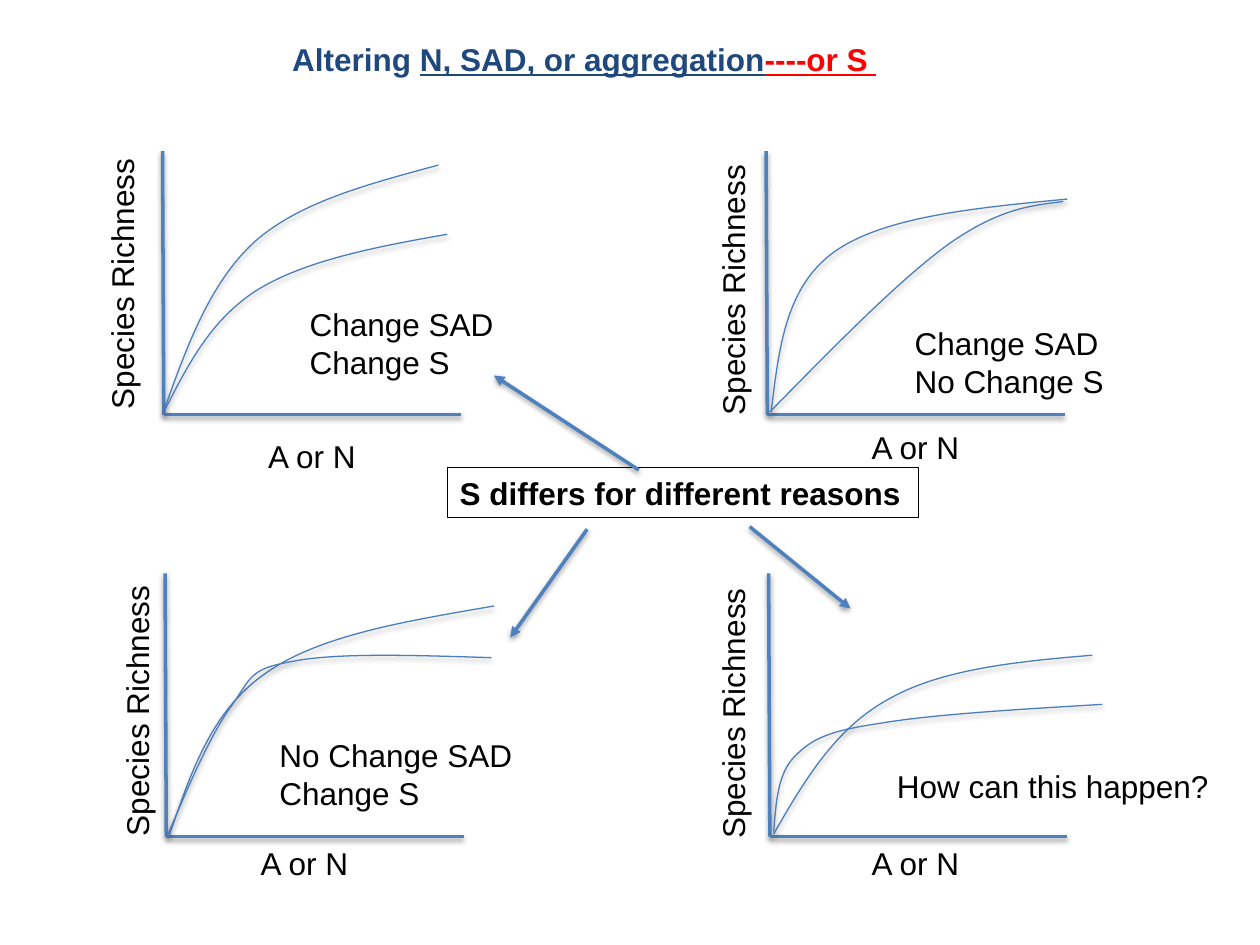
from dataclasses import dataclass

from lxml.etree import SubElement
from pptx import Presentation
from pptx.dml.color import RGBColor
from pptx.enum.shapes import MSO_CONNECTOR
from pptx.enum.text import MSO_AUTO_SIZE
from pptx.oxml.ns import qn
from pptx.util import Inches, Pt

Point = tuple[float, float]


@dataclass(frozen=True)
class Theme:
    font: str = "Arial"
    size: float = 18
    text: str = "000000"
    title: str = "1F497D"
    accent: str = "FF0000"
    axis: str = "4F81BD"
    curve: str = "4B7EBC"
    axis_width: float = 2
    thin_width: float = 0.75


@dataclass(frozen=True)
class Run:
    text: str
    color: str = "000000"
    bold: bool = False
    underline: bool = False


@dataclass(frozen=True)
class Panel:
    """One richness plot; each curve is a start point and Bézier triples."""
    origin: Point
    x_label: Point
    y_label: Point
    note_at: Point
    note_width: float
    note: tuple[str, ...]
    curves: tuple[tuple[Point, ...], ...]


THEME = Theme()
AXIS_LENGTH, AXIS_HEIGHT, AXIS_LEAN = 2.36, 2.09, 0.01
LINE_HEIGHT, LINE_STEP = 0.4, 0.31

PANELS = (
    Panel((1.3, 3.29), (2.03, 3.42), (-0.14, 2.04), (2.36, 2.37), 1.67,
          ("Change SAD", "Change S"), (
        ((1.3, 3.26), (1.48, 2.76), (1.66, 2.25), (2.02, 1.92),
         (2.38, 1.6), (2.93, 1.46), (3.48, 1.31)),
        ((1.29, 3.29), (1.48, 2.92), (1.66, 2.55), (2.03, 2.31),
         (2.41, 2.07), (2.98, 1.96), (3.55, 1.86)))),
    Panel((6.09, 3.29), (6.82, 3.35), (4.71, 2.09), (7.16, 2.52), 1.72,
          ("Change SAD", "No Change S"), (
        ((6.12, 3.27), (6.18, 2.78), (6.23, 2.28), (6.62, 2),
         (7.01, 1.72), (7.74, 1.65), (8.47, 1.58)),
        ((6.11, 3.27), (6.63, 2.74), (7.15, 2.21), (7.54, 1.93),
         (7.93, 1.66), (8.18, 1.63), (8.44, 1.6)))),
    Panel((1.32, 6.64), (1.97, 6.65), (-0.02, 5.43), (2.12, 5.79), 2.07,
          ("No Change SAD", "Change S"), (
        ((1.34, 6.64), (1.51, 6.15), (1.67, 5.65), (2.1, 5.35),
         (2.53, 5.04), (3.23, 4.93), (3.92, 4.81)),
        ((1.33, 6.63), (1.5, 6.23), (1.67, 5.83), (1.84, 5.6),
         (2, 5.37), (1.98, 5.31), (2.32, 5.25),
         (2.66, 5.18), (3.28, 5.2), (3.9, 5.22)))),
    Panel((6.11, 6.64), (6.82, 6.65), (4.71, 5.45), (7.02, 6.04), 2.7,
          ("How can this happen?",), (
        ((6.14, 6.62), (6.38, 6.2), (6.63, 5.78), (7.05, 5.55),
         (7.47, 5.31), (8.07, 5.25), (8.67, 5.2)),
        ((6.14, 6.6), (6.16, 6.37), (6.17, 6.14), (6.31, 6),
         (6.45, 5.86), (6.58, 5.8), (6.99, 5.74),
         (7.4, 5.67), (8.08, 5.63), (8.75, 5.59)))),
)

ARROWS = (
    ((5.07, 3.73), (3.92, 2.98)),
    ((4.66, 4.2), (4.05, 5.06)),
    ((5.95, 4.18), (6.75, 4.83)),
)


def add_shadow(sp, distance: float, opacity: int) -> None:
    effects = SubElement(sp._element.spPr, qn("a:effectLst"))
    shadow = SubElement(effects, qn("a:outerShdw"), blurRad=str(Pt(3.1)),
                        dist=str(Pt(distance)), dir="5400000", rotWithShape="0")
    color = SubElement(shadow, qn("a:srgbClr"), val="000000")
    SubElement(color, qn("a:alpha"), val=str(opacity * 1000))


def set_line(sp, color: str, width: float) -> None:
    sp.line.color.rgb = RGBColor.from_string(color)
    sp.line.width = Pt(width)


def add_line(s, start: Point, end: Point, arrow: bool = False) -> None:
    sp = s.shapes.add_connector(MSO_CONNECTOR.STRAIGHT,
                                *(Inches(v) for v in start + end))
    set_line(sp, THEME.axis, THEME.axis_width)
    if arrow:
        SubElement(sp.line._get_or_add_ln(), qn("a:tailEnd"), type="triangle")
    add_shadow(sp, 1.6, 38)


def add_curve(s, points: tuple[Point, ...]) -> None:
    """Draw the control polygon, then turn each three segments into a Bézier."""
    start, *rest = [(Inches(x), Inches(y)) for x, y in points]
    builder = s.shapes.build_freeform(*start)
    builder.add_line_segments(rest, close=False)
    sp = builder.convert_to_shape()
    segments = list(sp._element.iter(qn("a:lnTo")))
    for i in range(0, len(segments), 3):
        bezier = SubElement(segments[i].getparent(), qn("a:cubicBezTo"))
        for segment in segments[i:i + 3]:
            bezier.append(segment[0])
            segment.getparent().remove(segment)
    sp.fill.background()
    set_line(sp, THEME.curve, THEME.thin_width)
    add_shadow(sp, 1.8, 35)


def add_text(s, at: Point, width: float, *lines: list[Run], rotation: float = 0):
    height = LINE_HEIGHT + LINE_STEP * (len(lines) - 1)
    sp = s.shapes.add_textbox(*(Inches(v) for v in (*at, width, height)))
    sp.rotation = rotation
    tf = sp.text_frame
    tf.word_wrap = False
    tf.auto_size = MSO_AUTO_SIZE.SHAPE_TO_FIT_TEXT
    for i, line in enumerate(lines):
        p = tf.add_paragraph() if i else tf.paragraphs[0]
        for run in line:
            r = p.add_run()
            r.text = run.text
            r.font.name = THEME.font
            r.font.size = Pt(THEME.size)
            r.font.bold = run.bold
            r.font.underline = run.underline
            r.font.color.rgb = RGBColor.from_string(run.color)
    return sp


def add_panel(s, panel: Panel) -> None:
    x, y = panel.origin
    add_line(s, (x - AXIS_LEAN, y - AXIS_HEIGHT), panel.origin)
    add_line(s, (x + AXIS_LENGTH, y), panel.origin)
    for curve in panel.curves:
        add_curve(s, curve)
    add_text(s, panel.x_label, 0.9, [Run("A or N")])
    add_text(s, panel.y_label, 2.21, [Run("Species Richness")], rotation=270)
    add_text(s, panel.note_at, panel.note_width,
             *([Run(line, THEME.text)] for line in panel.note))


def main() -> None:
    prs = Presentation()
    prs.slide_width, prs.slide_height = Inches(10), Inches(7.5)
    s = prs.slides.add_slide(prs.slide_layouts[6])

    add_text(s, (2.22, 0.27), 4.89, [
        Run("Altering ", THEME.title, bold=True),
        Run("N, SAD, or aggregation", THEME.title, bold=True, underline=True),
        Run("----or S ", THEME.accent, bold=True, underline=True),
    ])
    for panel in PANELS:
        add_panel(s, panel)

    conclusion = add_text(s, (3.55, 3.71), 3.74, [
        Run("S differs for different reasons", THEME.text, bold=True)])
    set_line(conclusion, THEME.text, THEME.thin_width)
    for start, end in ARROWS:
        add_line(s, start, end, arrow=True)

    prs.save("out.pptx")


if __name__ == "__main__":
    main()
